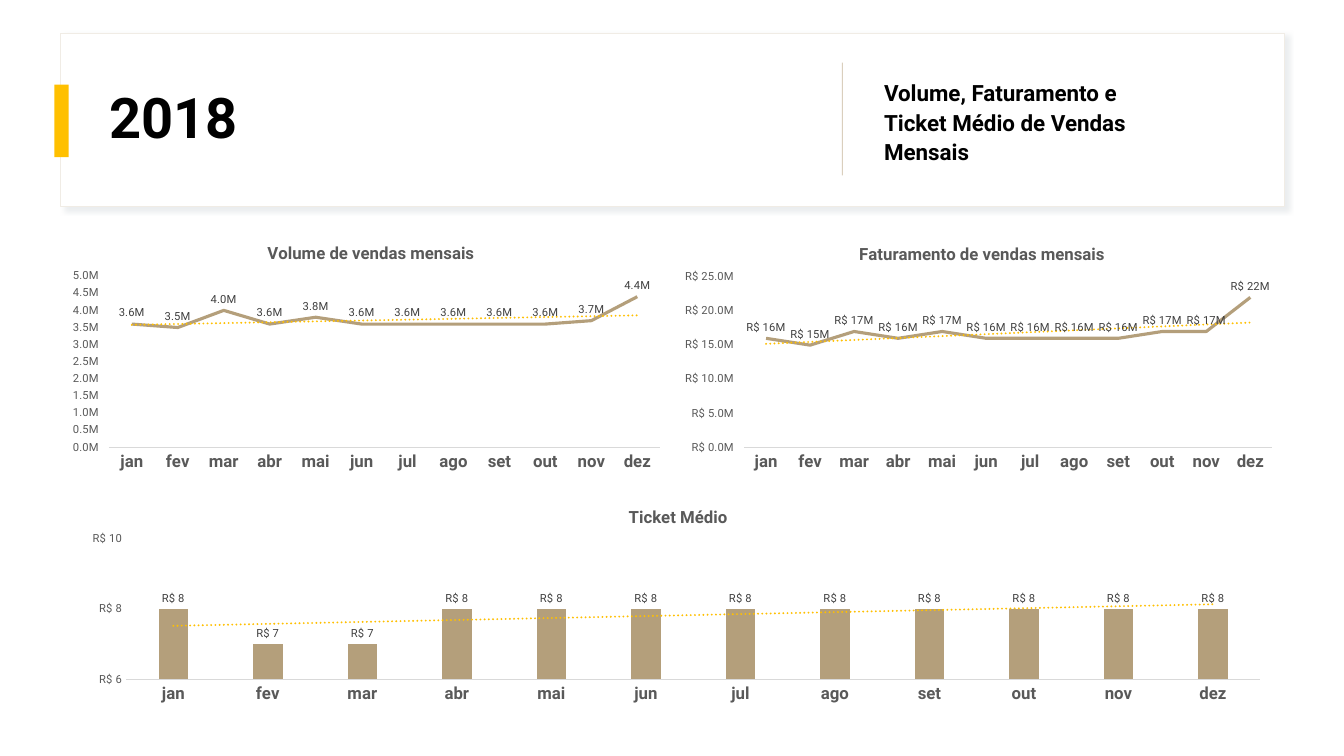
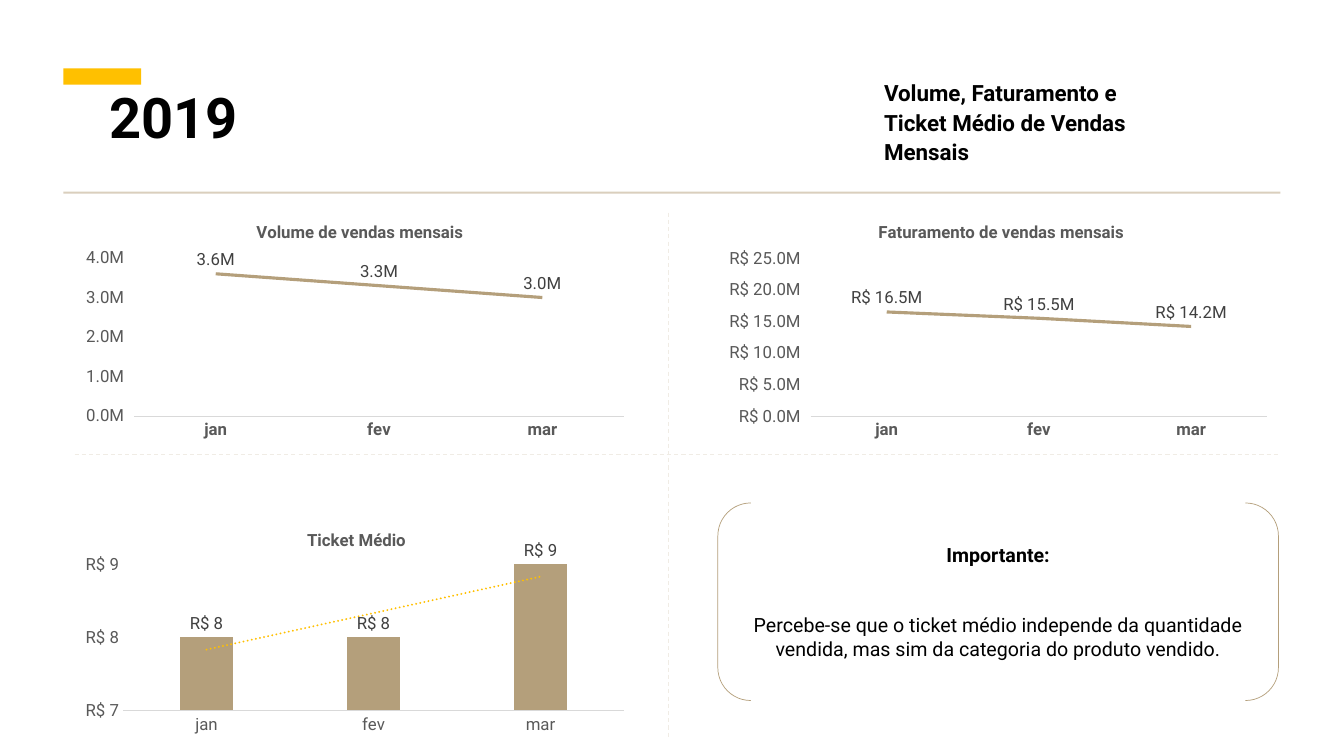
from dataclasses import dataclass

from lxml import etree
from pptx import Presentation
from pptx.chart.data import CategoryChartData
from pptx.dml.color import RGBColor
from pptx.enum.chart import XL_CHART_TYPE, XL_LABEL_POSITION, XL_MARKER_STYLE, XL_TICK_MARK
from pptx.enum.dml import MSO_LINE
from pptx.enum.shapes import MSO_CONNECTOR, MSO_SHAPE
from pptx.enum.text import MSO_ANCHOR, PP_ALIGN
from pptx.oxml import parse_xml
from pptx.oxml.ns import nsdecls, qn
from pptx.util import Inches, Pt

LINE = XL_CHART_TYPE.LINE
COLUMN = XL_CHART_TYPE.COLUMN_CLUSTERED
ABOVE = XL_LABEL_POSITION.ABOVE
OUTSIDE_END = XL_LABEL_POSITION.OUTSIDE_END
NO_MARKER = XL_MARKER_STYLE.NONE
NO_TICK = XL_TICK_MARK.NONE
TICK_OUT = XL_TICK_MARK.OUTSIDE
DASH = MSO_LINE.DASH
STRAIGHT = MSO_CONNECTOR.STRAIGHT
RECT = MSO_SHAPE.RECTANGLE
BRACKETS = MSO_SHAPE.DOUBLE_BRACKET
MIDDLE = MSO_ANCHOR.MIDDLE
CENTER = PP_ALIGN.CENTER

WHITE = RGBColor(0xFF, 0xFF, 0xFF)
BLACK = RGBColor(0, 0, 0)
YELLOW = RGBColor(0xFF, 0xC0, 0x00)
TAN = RGBColor(0xB4, 0x9F, 0x7B)
SAND = RGBColor(0xDA, 0xCF, 0xBD)
PALE = RGBColor(0xF0, 0xEC, 0xE5)
GREY = RGBColor(0x59, 0x59, 0x59)
DARK = RGBColor(0x40, 0x40, 0x40)
AXIS = RGBColor(0xD9, 0xD9, 0xD9)
SHADOW = RGBColor(0xBC, 0xC5, 0xCA)

FONT = "Roboto"
SUBTITLE = "Volume, Faturamento e Ticket Médio de Vendas Mensais"
MONTHS = ["jan", "fev", "mar", "abr", "mai", "jun", "jul", "ago", "set", "out", "nov", "dez"]
MILLIONS = '0.0,,"M"'
REAIS_MILLIONS = '"R$"\\ 0.0,,"M"'
REAIS_ROUND_MILLIONS = '"R$"\\ 0,,"M"'
REAIS = '"R$"\\ #,##0'
TITLE_CHAR = 0.084
TITLE_TOP = 0.14


@dataclass
class Panel:
    """A chart's title, type, values, number formats and scale (low, high, step)."""
    title: str
    kind: int
    values: list
    axis_format: str
    label_format: str
    scale: tuple
    trend: bool = True
    bold_months: bool = True


def style_font(font, size, color, bold=False):
    """Set the shared typeface with a size, colour and weight."""
    font.name = FONT
    font.size = Pt(size)
    font.bold = bold
    font.color.rgb = color


def add_run(p, text, size, bold=False, color=BLACK):
    """Append one formatted run to a paragraph."""
    r = p.add_run()
    r.text = text
    style_font(r.font, size, color, bold)


def add_box(s, box, fill, kind=RECT, line=None, width=1):
    """Draw a flat preset shape, outlined when a line colour is given."""
    sp = s.shapes.add_shape(kind, *map(Inches, box))
    sp.shadow.inherit = False
    sp.fill.solid()
    sp.fill.fore_color.rgb = fill
    if line is None:
        sp.line.fill.background()
    else:
        sp.line.color.rgb = line
        sp.line.width = Pt(width)
    return sp


def add_soft_shadow(sp):
    """Give a shape a faint shadow to the lower right."""
    effects = sp._element.spPr.find(qn("a:effectLst"))
    effects.append(parse_xml(
        f'<a:outerShdw {nsdecls("a")} blurRad="{Pt(4)}" dist="{Pt(3)}" dir="2700000" '
        f'algn="tl" rotWithShape="0"><a:srgbClr val="{SHADOW}"><a:alpha val="30000"/>'
        '</a:srgbClr></a:outerShdw>'))


def add_text(s, box, text, size, spacing, before=0):
    """Place one bold, vertically centred paragraph."""
    tf = s.shapes.add_textbox(*map(Inches, box)).text_frame
    tf.word_wrap = True
    tf.vertical_anchor = MIDDLE
    p = tf.paragraphs[0]
    p.line_spacing = spacing
    p.space_before = Pt(before)
    add_run(p, text, size, True)


def add_heading(s, year):
    """Write the year and the subtitle shared by the slides."""
    add_text(s, (0.99, 0.44, 7.03, 1.5), year, 40, 0.9)
    add_text(s, (8.67, 0.55, 3.16, 1.3), SUBTITLE, 16, 1.1, 10)


def add_divider(s, x1, y1, x2, y2):
    """Draw a pale dashed line."""
    c = s.shapes.add_connector(STRAIGHT, *map(Inches, (x1, y1, x2, y2)))
    c.line.color.rgb = PALE
    c.line.width = Pt(0.75)
    c.line.dash_style = DASH
    etree.SubElement(c._element.spPr, qn("a:effectLst"))


def manual_layout(x, y, w=None, h=None):
    """Build a chart layout from fractions of the chart box."""
    target = '<c:layoutTarget val="inner"/>' if w else ""
    sizes = f'<c:w val="{w:.4f}"/><c:h val="{h:.4f}"/>' if w else ""
    return parse_xml(
        f'<c:layout {nsdecls("c")}><c:manualLayout>{target}<c:xMode val="edge"/>'
        f'<c:yMode val="edge"/><c:x val="{x:.4f}"/><c:y val="{y:.4f}"/>{sizes}'
        '</c:manualLayout></c:layout>')


def place_parts(chart, panel, box, plot):
    """Position the centred title and the plot area inside the chart box."""
    width, height = box[2:]
    title = chart._chartSpace.chart.find(qn("c:title"))
    for old in title.findall(qn("c:layout")):
        title.remove(old)
    x = 0.5 - len(panel.title) * TITLE_CHAR / width / 2
    title.find(qn("c:tx")).addnext(manual_layout(x, TITLE_TOP / height))
    area = chart._chartSpace.chart.plotArea
    for old in area.findall(qn("c:layout")):
        area.remove(old)
    left, top, w, h = plot
    area.insert(0, manual_layout(left / width, top / height, w / width, h / height))


def add_trend(ser):
    """Add a dotted linear trend line to a series."""
    ser._element.find(qn("c:cat")).addprevious(parse_xml(
        f'<c:trendline {nsdecls("c", "a")}><c:spPr><a:ln w="{Pt(1.5)}" cap="rnd"><a:solidFill>'
        f'<a:srgbClr val="{YELLOW}"/></a:solidFill><a:prstDash val="sysDot"/></a:ln></c:spPr>'
        '<c:trendlineType val="linear"/><c:dispRSqr val="0"/><c:dispEq val="0"/></c:trendline>'))


def style_axes(chart, panel, size):
    """Format the month axis and the value axis."""
    months, values = chart.category_axis, chart.value_axis
    months.major_tick_mark = NO_TICK
    months.format.line.color.rgb = AXIS
    months.format.line.width = Pt(0.75)
    style_font(months.tick_labels.font, 12, GREY, panel.bold_months)
    values.has_major_gridlines = False
    values.major_tick_mark = TICK_OUT if panel.kind == LINE else NO_TICK
    values.format.line.fill.background()
    values.minimum_scale, values.maximum_scale, values.major_unit = panel.scale
    values.tick_labels.number_format = panel.axis_format
    values.tick_labels.number_format_is_linked = False
    style_font(values.tick_labels.font, size, GREY)


def style_series(plot, panel, size):
    """Format the single series with its labels and trend."""
    plot.vary_by_categories = False
    ser = plot.series[0]
    if panel.kind == LINE:
        ser.smooth = False
        ser.marker.style = NO_MARKER
        ser.format.line.color.rgb = TAN
        ser.format.line.width = Pt(2.25)
    else:
        plot.gap_width, plot.overlap = 219, -27
        ser.format.fill.solid()
        ser.format.fill.fore_color.rgb = TAN
    labels = ser.data_labels
    labels.show_value = True
    labels.position = ABOVE if panel.kind == LINE else OUTSIDE_END
    labels.number_format = panel.label_format
    labels.number_format_is_linked = False
    style_font(labels.font, size, DARK)
    if panel.trend:
        add_trend(ser)


def add_panel(s, panel, box, plot, size):
    """Draw a monthly chart in a box, with its plot area relative to that box."""
    data = CategoryChartData()
    data.categories = MONTHS[:len(panel.values)]
    data.add_series(panel.title, panel.values)
    chart = s.shapes.add_chart(panel.kind, *map(Inches, box), data).chart
    style_font(chart.font, 10, BLACK)
    chart.has_legend = False
    chart.has_title = True
    add_run(chart.chart_title.text_frame.paragraphs[0], panel.title, 12, True, GREY)
    chart.chart_title.include_in_layout = False
    style_axes(chart, panel, size)
    style_series(chart.plots[0], panel, size)
    place_parts(chart, panel, box, plot)


def millions(*values):
    """Turn numbers of millions into units."""
    return [round(v * 1000000) for v in values]


def add_note(s, box):
    """Draw the bracketed remark."""
    sp = add_box(s, box, WHITE, BRACKETS, TAN, 0.5)
    tf = sp.text_frame
    tf.word_wrap = True
    tf.vertical_anchor = MIDDLE
    p = tf.paragraphs[0]
    p.alignment = CENTER
    add_run(p, "Importante:", 14, True)
    p = tf.add_paragraph()
    p.alignment = CENTER
    p.space_before = Pt(33)
    add_run(p, "Percebe-se que o ticket médio independe da quantidade vendida, "
               "mas sim da categoria do produto vendido.", 14)


def build_2018(s):
    """Build the full-year slide with its framed heading."""
    add_soft_shadow(add_box(s, (0.6, 0.33, 12.14, 1.72), WHITE, line=PALE))
    add_heading(s, "2018")
    add_box(s, (0.54, 0.84, 0.14, 0.72), YELLOW)
    add_box(s, (8.35, 0.62, 0.01, 1.12), SAND)
    volume = millions(3.6, 3.5, 4, 3.6, 3.8, 3.6, 3.6, 3.6, 3.6, 3.6, 3.7, 4.4)
    revenue = millions(16, 15, 17, 16, 17, 16, 16, 16, 16, 17, 17, 22)
    ticket = [8, 7, 7, 8, 8, 8, 8, 8, 8, 8, 8, 8]
    add_panel(s, Panel("Volume de vendas mensais", LINE, volume, MILLIONS, MILLIONS,
                       millions(0, 5, 0.5)),
              (0.6, 2.23, 6.06, 2.5), (0.48, 0.51, 5.47, 1.7), 8)
    add_panel(s, Panel("Faturamento de vendas mensais", LINE, revenue, REAIS_MILLIONS,
                       REAIS_ROUND_MILLIONS, millions(0, 26, 5)),
              (6.68, 2.24, 6.06, 2.49), (0.7, 0.44, 5.24, 1.76), 8)
    add_panel(s, Panel("Ticket Médio", COLUMN, ticket, REAIS, REAIS, (6, 10, 2)),
              (0.68, 4.85, 12.06, 2.17), (0.57, 0.5, 11.25, 1.39), 8)


def build_2019(s):
    """Build the first-quarter slide with four dashed quadrants."""
    add_box(s, (0.63, 0.68, 0.77, 0.16), YELLOW)
    add_box(s, (0.63, 1.9, 12.07, 0.02), SAND)
    add_heading(s, "2019")
    left, right, top, width = 0.74, 7.12, 2.02, 5.56
    add_panel(s, Panel("Volume de vendas mensais", LINE, millions(3.6, 3.3, 3), MILLIONS,
                       MILLIONS, millions(0, 4, 1), trend=False),
              (left, top, width, 2.4), (0.59, 0.54, 4.86, 1.57), 12)
    add_panel(s, Panel("Faturamento de vendas mensais", LINE, millions(16.5, 15.5, 14.2),
                       REAIS_MILLIONS, REAIS_MILLIONS, millions(0, 26, 5), trend=False),
              (right, top, width, 2.4), (0.92, 0.48, 4.53, 1.63), 12)
    add_panel(s, Panel("Ticket Médio", COLUMN, [8, 8, 9], REAIS, REAIS, (7, 9, 1),
                       bold_months=False),
              (left, 5.08, width, 2.26), (0.48, 0.52, 4.97, 1.45), 12)
    add_note(s, (right, 4.99, width, 1.96))
    add_divider(s, left, 4.51, right + width, 4.51)
    add_divider(s, 6.63, 2.11, 6.63, 7.34)


def main():
    """Create and save the presentation."""
    prs = Presentation()
    prs.slide_width, prs.slide_height = Inches(13.33), Inches(7.5)
    for build in (build_2018, build_2019):
        build(prs.slides.add_slide(prs.slide_layouts[6]))
    prs.save("out.pptx")


if __name__ == "__main__":
    main()
